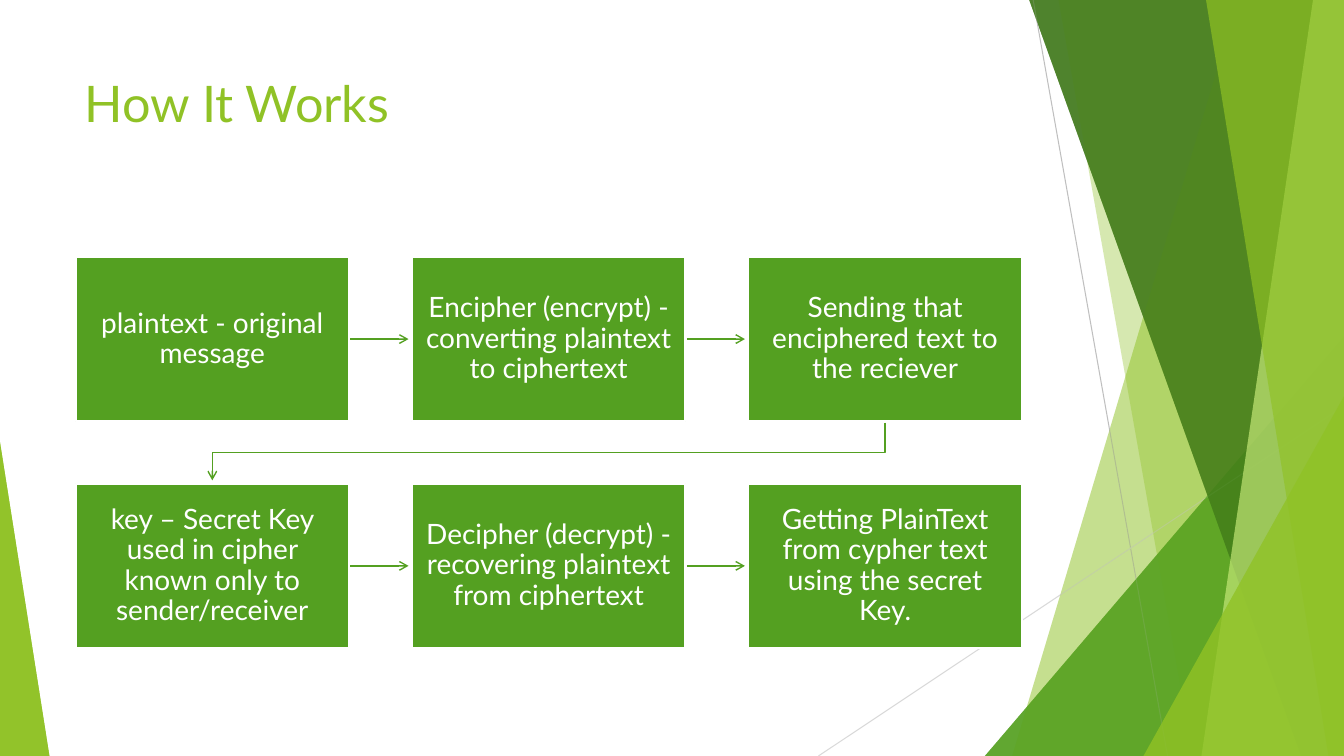
import dataclasses

import pptx
import pptx.dml.color
import pptx.enum.shapes
import pptx.enum.text
import pptx.oxml
import pptx.oxml.ns
import pptx.util

Pt = pptx.util.Pt


@dataclasses.dataclass(frozen=True)
class Theme:
    font: str = "Lato"
    title_size: float = 36
    box_size: float = 20
    lime: str = "90C226"
    pale_lime: str = "C0E474"
    green: str = "54A021"
    dark_green: str = "3F7819"
    gray: str = "BFBFBF"
    light_gray: str = "D9D9D9"
    white: str = "FFFFFF"


def rgb(color):
    return pptx.dml.color.RGBColor.from_string(color)


class SlideBuilder:
    def __init__(self, slide, theme):
        self.slide = slide
        self.theme = theme

    def fill(self, shape, color, opacity=100):
        """Fill a shape with a colour at an opacity in percent, without outline."""
        shape.shadow.inherit = False
        shape.fill.solid()
        shape.fill.fore_color.rgb = rgb(color)
        if opacity < 100:
            color_element = shape.element.spPr.xpath("a:solidFill/a:srgbClr")[0]
            alpha = pptx.oxml.parse_xml(f"<a:alpha {pptx.oxml.ns.nsdecls('a')}/>")
            alpha.set("val", str(opacity * 1000))
            color_element.append(alpha)
        shape.line.fill.background()

    def stroke(self, shape, color, width, arrow=False):
        shape.line.color.rgb = rgb(color)
        shape.line.width = Pt(width)
        if arrow:
            head = pptx.oxml.parse_xml(
                f"<a:tailEnd {pptx.oxml.ns.nsdecls('a')} type='arrow'/>")
            shape.element.spPr.xpath("a:ln")[0].append(head)

    def add_run(self, paragraph, text, size, color):
        run = paragraph.add_run()
        run.text = text
        run.font.name = self.theme.font
        run.font.size = Pt(size)
        run.font.color.rgb = rgb(color)

    def title(self, text, left, top, width, height):
        shape = self.slide.shapes.title
        shape.left, shape.top = Pt(left), Pt(top)
        shape.width, shape.height = Pt(width), Pt(height)
        frame = shape.text_frame
        frame.word_wrap = True
        frame.auto_size = pptx.enum.text.MSO_AUTO_SIZE.NONE
        frame.vertical_anchor = pptx.enum.text.MSO_ANCHOR.TOP
        paragraph = frame.paragraphs[0]
        paragraph.alignment = pptx.enum.text.PP_ALIGN.LEFT
        paragraph.line_spacing = 1.0
        self.add_run(paragraph, text, self.theme.title_size, self.theme.lime)

    def outline(self, points, closed):
        points = [(Pt(x), Pt(y)) for x, y in points]
        builder = self.slide.shapes.build_freeform(*points[0])
        builder.add_line_segments(points[1:], close=closed)
        return builder.convert_to_shape()

    def polygon(self, points, color, opacity):
        self.fill(self.outline(points, True), color, opacity)

    def triangle(self, left, top, width, height, apex, color, opacity):
        shape = self.slide.shapes.add_shape(
            pptx.enum.shapes.MSO_SHAPE.ISOSCELES_TRIANGLE,
            Pt(left), Pt(top), Pt(width), Pt(height))
        shape.adjustments[0] = apex
        self.fill(shape, color, opacity)

    def line(self, start, end, color, width, arrow=False):
        connector = self.slide.shapes.add_connector(
            pptx.enum.shapes.MSO_CONNECTOR.STRAIGHT,
            Pt(start[0]), Pt(start[1]), Pt(end[0]), Pt(end[1]))
        self.stroke(connector, color, width, arrow)
        connector.element.spPr.append(pptx.oxml.parse_xml(
            f"<a:effectLst {pptx.oxml.ns.nsdecls('a')}/>"))

    def bent_arrow(self, points, color, width):
        shape = self.outline(points, False)
        shape.shadow.inherit = False
        shape.fill.background()
        self.stroke(shape, color, width, arrow=True)

    def box(self, text, left, top, width, height):
        shape = self.slide.shapes.add_shape(
            pptx.enum.shapes.MSO_SHAPE.RECTANGLE,
            Pt(left), Pt(top), Pt(width), Pt(height))
        self.fill(shape, self.theme.green)
        self.stroke(shape, self.theme.white, 1.5)
        frame = shape.text_frame
        frame.word_wrap = True
        frame.vertical_anchor = pptx.enum.text.MSO_ANCHOR.MIDDLE
        frame.margin_left = frame.margin_right = Pt(9.5)
        frame.margin_top = frame.margin_bottom = Pt(10)
        paragraph = frame.paragraphs[0]
        paragraph.alignment = pptx.enum.text.PP_ALIGN.CENTER
        paragraph.line_spacing = 0.9
        paragraph.space_after = Pt(7)
        self.add_run(paragraph, text, self.theme.box_size, self.theme.white)


WIDTH, HEIGHT = 960, 540
STEPS = [
    "plaintext - original message",
    "Encipher (encrypt) - converting plaintext to ciphertext",
    "Sending that enciphered text to the reciever",
    "key – Secret Key used in cipher known only to sender/receiver",
    "Decipher (decrypt) - recovering plaintext from ciphertext",
    "Getting PlainText from cypher text using the secret Key.",
]
COLUMNS = 3
BOX_LEFT, BOX_TOP, BOX_WIDTH, BOX_HEIGHT = 54, 183.6, 195.3, 117.2
COLUMN_PITCH, ROW_PITCH = 240.3, 162
ARROW_GAP = 2.5


def draw_facets(builder):
    theme = builder.theme

    def band(top_x, bottom_x, color, opacity):
        """Draw a band from a slanted left edge to the right slide edge."""
        builder.polygon([(top_x, -0.6), (WIDTH, -0.6), (WIDTH, HEIGHT), (bottom_x, HEIGHT)],
                        color, opacity)

    band(884.4, 723, theme.lime, 30)
    band(756, 852, theme.lime, 20)
    builder.triangle(703.5, 240, 256.5, 300, 1, theme.green, 72)
    band(735, 929.5, theme.dark_green, 70)
    band(938, 858.2, theme.pale_lime, 70)
    band(861.4, 949, theme.lime, 65)
    builder.triangle(816.8, 283, 143.2, 257, 1, theme.lime, 80)
    builder.triangle(0, 316, 35.3, 224, 0, theme.lime, 85)


def draw_process(builder):
    green = builder.theme.green
    for index, text in enumerate(STEPS):
        row, column = divmod(index, COLUMNS)
        left = BOX_LEFT + column * COLUMN_PITCH
        top = BOX_TOP + row * ROW_PITCH
        builder.box(text, left, top, BOX_WIDTH, BOX_HEIGHT)
        if column < COLUMNS - 1:
            middle = top + BOX_HEIGHT / 2
            builder.line((left + BOX_WIDTH + 1, middle),
                         (left + COLUMN_PITCH - ARROW_GAP, middle), green, 1, arrow=True)
        elif index < len(STEPS) - 1:
            bottom, next_top = top + BOX_HEIGHT, top + ROW_PITCH
            turn = (bottom + next_top) / 2
            start_x, end_x = left + BOX_WIDTH / 2, BOX_LEFT + BOX_WIDTH / 2
            builder.bent_arrow([(start_x, bottom + 1), (start_x, turn), (end_x, turn),
                                (end_x, next_top - ARROW_GAP)], green, 1)


def main():
    presentation = pptx.Presentation()
    presentation.slide_width, presentation.slide_height = Pt(WIDTH), Pt(HEIGHT)
    slide = presentation.slides.add_slide(presentation.slide_layouts[5])
    theme = Theme()
    builder = SlideBuilder(slide, theme)
    draw_facets(builder)
    builder.line((738, 0), (834, HEIGHT), theme.gray, 0.75)
    builder.line((WIDTH, 290), (584.6, HEIGHT), theme.light_gray, 0.75)
    draw_facets(builder)  # a second layer deepens the translucent colours
    builder.title("How It Works", 53.3, 48, 676.8, 104)
    draw_process(builder)
    presentation.save("out.pptx")


if __name__ == "__main__":
    main()
